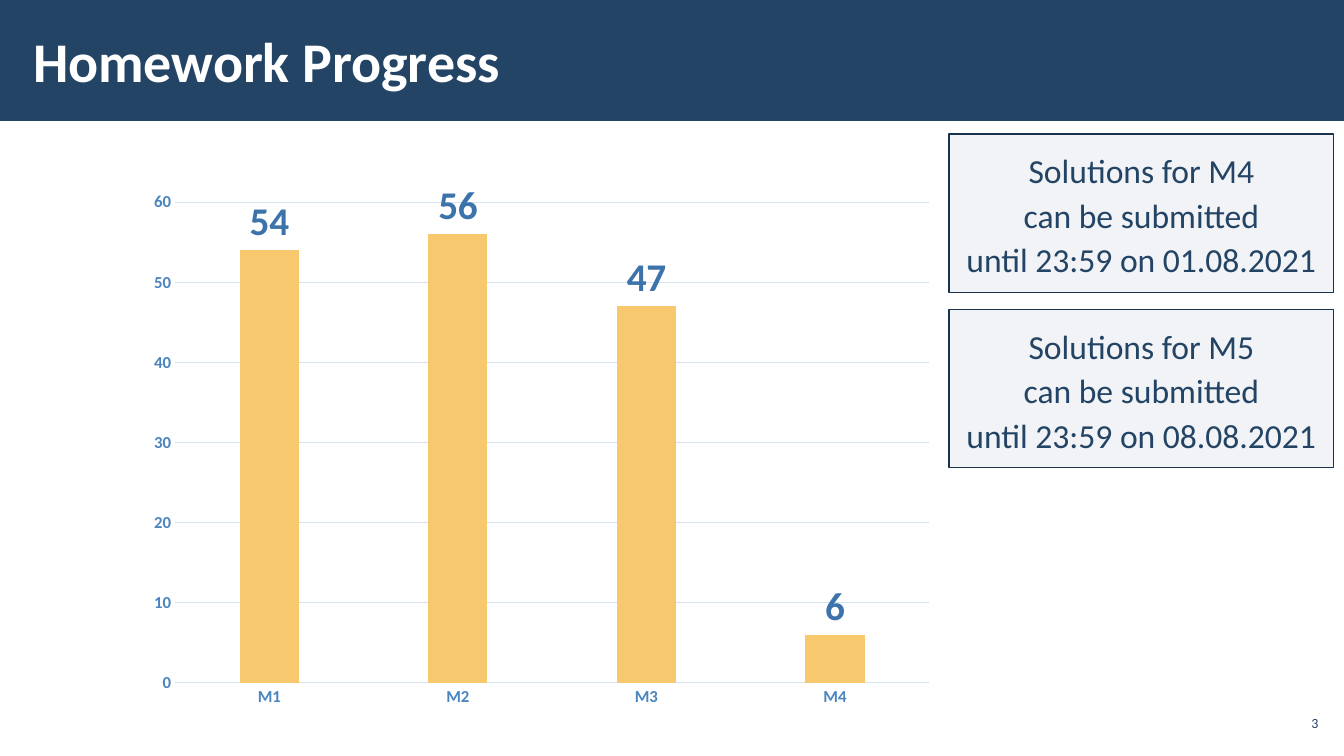
"""Build the homework progress slide."""
from lxml.etree import SubElement
from pptx import Presentation
from pptx.chart.data import CategoryChartData
from pptx.dml.color import RGBColor
from pptx.enum.chart import XL_CHART_TYPE as ChartType, XL_LABEL_POSITION as LabelPosition
from pptx.enum.chart import XL_TICK_MARK as TickMark
from pptx.enum.shapes import MSO_SHAPE as Shape
from pptx.enum.text import MSO_ANCHOR as Anchor, MSO_AUTO_SIZE as AutoSize, PP_ALIGN as Align
from pptx.oxml.ns import qn
from pptx.util import Pt

FONT = "Calibri"
NAVY = RGBColor(0x23, 0x44, 0x65)
DARK_NAVY = RGBColor(0x1A, 0x33, 0x4C)
WHITE = RGBColor(0xFF, 0xFF, 0xFF)
GRAY = RGBColor(0xAD, 0xB4, 0xC3)
AXIS_BLUE = RGBColor(0x4A, 0x85, 0xC0)
LABEL_BLUE = RGBColor(0x3B, 0x73, 0xAA)
GRID_BLUE = RGBColor(0xD5, 0xE3, 0xF1)
YELLOW = RGBColor(0xF7, 0xC8, 0x6D)

PROGRESS = {"M1": 54, "M2": 56, "M3": 47, "M4": 6}
DEADLINES = [("M4", "01.08.2021"), ("M5", "08.08.2021")]
NOTICE_TOP, NOTICE_STEP = 95.8, 125.4


def style_font(font, size, color, bold=False):
    """Set typeface, size, colour and weight."""
    font.name, font.size, font.bold = FONT, Pt(size), bold
    font.color.rgb = color


def set_margins(frame, horizontal, vertical):
    """Set equal margins on opposite sides of a text frame."""
    frame.margin_left = frame.margin_right = Pt(horizontal)
    frame.margin_top = frame.margin_bottom = Pt(vertical)


def add_rectangle(page, left, top, width, height, color):
    """Add a filled rectangle without shadow or outline."""
    box = page.shapes.add_shape(Shape.RECTANGLE, Pt(left), Pt(top), Pt(width), Pt(height))
    box.shadow.inherit = False
    box.fill.solid()
    box.fill.fore_color.rgb = color
    box.line.fill.background()
    return box


def add_header(page, text):
    """Place the title on a banner across the page."""
    title = page.shapes.title
    banner = add_rectangle(page, 0, 0, 960, 86.4, NAVY)
    title.element.addprevious(banner.element)
    title.left, title.top, title.width, title.height = Pt(15), Pt(8), Pt(749), Pt(70)
    frame = title.text_frame
    frame.text = text
    frame.vertical_anchor = Anchor.MIDDLE
    frame.auto_size = AutoSize.NONE
    set_margins(frame, 8.64, 2.88)
    para = frame.paragraphs[0]
    para.alignment = Align.LEFT
    style_font(para.font, 40, WHITE, True)


def add_page_number(page, number):
    """Add the page number at the lower right."""
    box = page.shapes.add_textbox(Pt(911), Pt(504), Pt(33.6), Pt(24.5))
    frame = box.text_frame
    frame.word_wrap = True
    frame.vertical_anchor = Anchor.MIDDLE
    set_margins(frame, 2.88, 2.88)
    para = frame.paragraphs[0]
    para.text = str(number)
    para.alignment = Align.RIGHT
    style_font(para.font, 10, NAVY)


def style_axis(axis):
    """Give an axis bold blue labels and no tick marks."""
    axis.major_tick_mark = axis.minor_tick_mark = TickMark.NONE
    style_font(axis.tick_labels.font, 12, AXIS_BLUE, True)


def style_line(line):
    """Draw a thin pale chart line."""
    line.color.rgb = GRID_BLUE
    line.width = Pt(0.75)


def add_progress_chart(page):
    """Add the column chart of submitted homework."""
    data = CategoryChartData()
    data.categories = list(PROGRESS)
    data.add_series("Series 1", list(PROGRESS.values()))
    chart = page.shapes.add_chart(ChartType.COLUMN_CLUSTERED, Pt(98.6), Pt(129.6),
                                  Pt(576.7), Pt(383), data).chart
    chart.has_title = chart.has_legend = False
    style_font(chart.font, 10, NAVY)
    style_axis(chart.category_axis)
    style_line(chart.category_axis.format.line)

    values = chart.value_axis
    style_axis(values)
    values.minimum_scale, values.maximum_scale, values.major_unit = 0, 60, 10
    values.format.line.fill.background()
    style_line(values.major_gridlines.format.line)

    plot = chart.plots[0]
    plot.gap_width, plot.overlap, plot.vary_by_categories = 219, -27, False
    fill = plot.series[0].format.fill
    fill.solid()
    fill.fore_color.rgb = YELLOW
    plot.has_data_labels = True
    labels = plot.data_labels
    labels.show_value = True
    labels.position = LabelPosition.OUTSIDE_END
    style_font(labels.font, 28, LABEL_BLUE, True)


def add_notice(page, top, lines):
    """Add a translucent outlined box with centred lines."""
    box = add_rectangle(page, 678, top, 274.6, 113, GRAY)
    color = box.element.spPr.find(qn("a:solidFill")).find(qn("a:srgbClr"))
    SubElement(color, qn("a:alpha"), val="15000")
    box.line.color.rgb = DARK_NAVY
    box.line.width = Pt(1)
    frame = box.text_frame
    frame.text = "\n".join(lines)
    frame.word_wrap = False
    frame.auto_size = AutoSize.SHAPE_TO_FIT_TEXT
    frame.vertical_anchor = Anchor.TOP
    set_margins(frame, 11.52, 8.64)
    for para in frame.paragraphs:
        para.alignment = Align.CENTER
        para.line_spacing = 1.1
        style_font(para.font, 24, NAVY)


def main():
    """Build and save the deck."""
    deck = Presentation()
    deck.slide_width, deck.slide_height = Pt(960), Pt(540)
    page = deck.slides.add_slide(deck.slide_layouts[5])
    add_header(page, "Homework Progress")
    add_page_number(page, 3)
    add_progress_chart(page)
    for index, (module, date) in enumerate(DEADLINES):
        lines = [f"Solutions for {module}", "can be submitted", f"until 23:59 on {date}"]
        add_notice(page, NOTICE_TOP + index * NOTICE_STEP, lines)
    deck.save("out.pptx")


if __name__ == "__main__":
    main()
